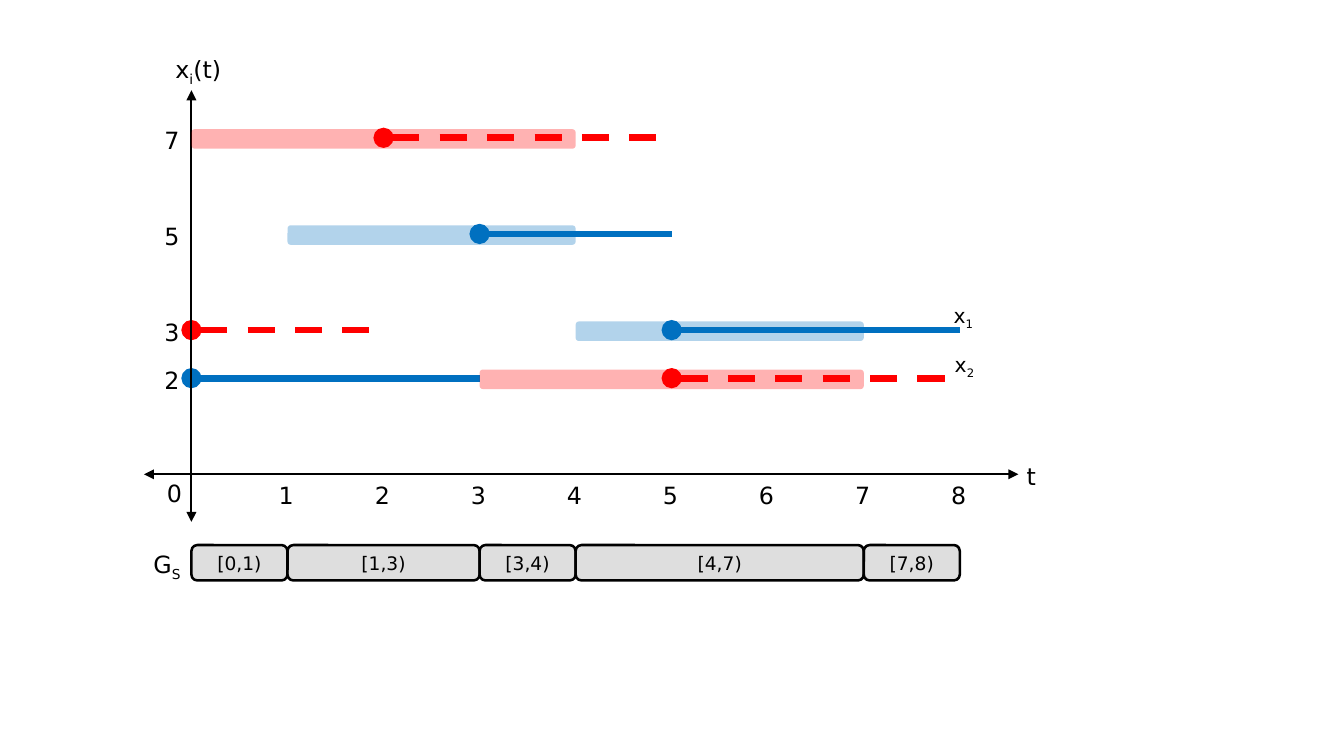
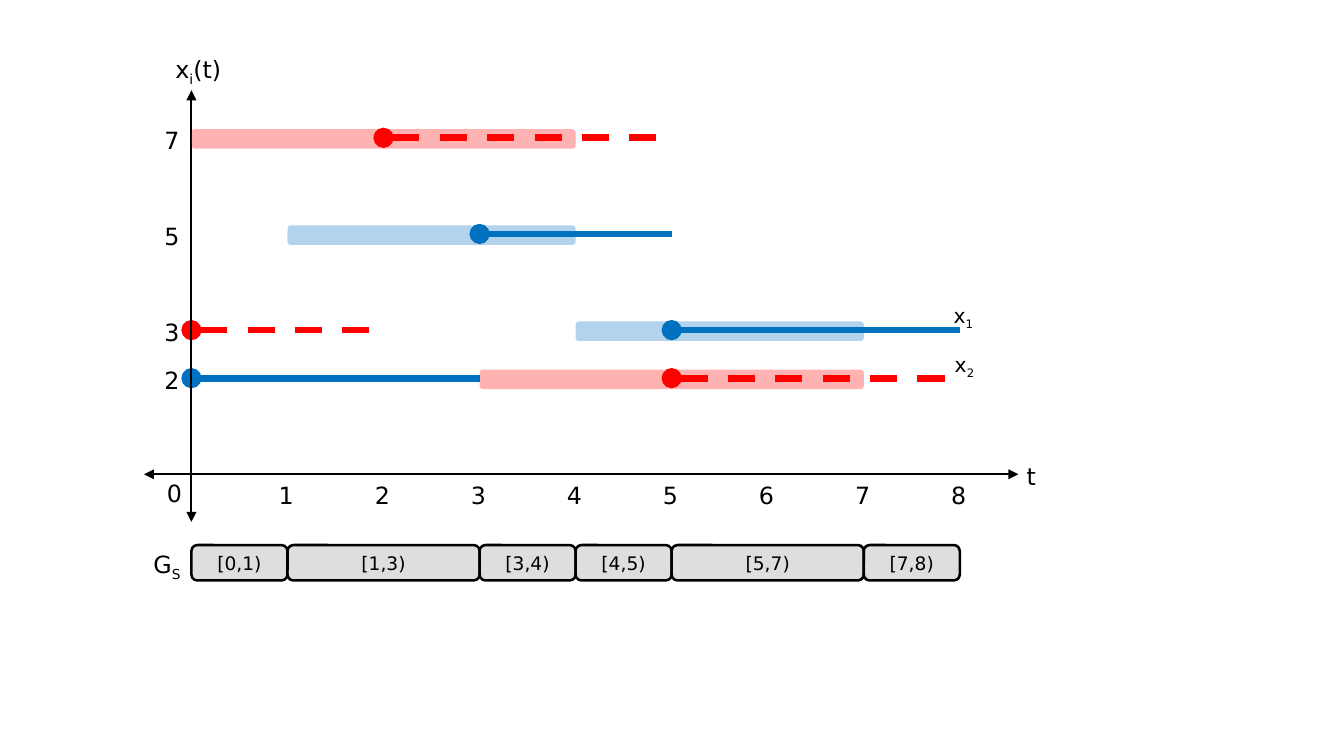
from dataclasses import dataclass
from itertools import pairwise

from lxml.etree import SubElement
from pptx import Presentation
from pptx.dml.color import RGBColor
from pptx.enum.dml import MSO_LINE
from pptx.enum.shapes import MSO_CONNECTOR, MSO_SHAPE
from pptx.enum.text import MSO_ANCHOR, PP_ALIGN
from pptx.oxml.ns import qn
from pptx.util import Inches, Pt


@dataclass(frozen=True)
class Theme:
    font: str = "DejaVu Sans"
    black: str = "000000"
    blue: str = "0070C0"
    red: str = "FF0000"
    gray: str = "BFBFBF"
    label: int = 14
    name: int = 12
    small: int = 11
    thick: float = 4
    thin: float = 1.25
    edge: float = 1.5


THEME = Theme()

# Plot scale: origin and size of one unit, in inches
LEFT, BASE = 1.57, 3.89
UNIT_X, UNIT_Y = 6.3 / 8, 2.76 / 7

# Signal pieces: start, end, value
BLUE = [(0, 3, 2), (3, 5, 5), (5, 8, 3)]
RED = [(0, 2, 3), (2, 5, 7), (5, 8, 2)]
# Shaded spans: start, end, value, colour
SPANS = [(0, 4, 7, THEME.red), (3, 7, 2, THEME.red),
         (1, 4, 5, THEME.blue), (4, 7, 3, THEME.blue)]
# Interval limits of the bottom row, one list for each slide
CUTS = [[0, 1, 3, 4, 7, 8], [0, 1, 3, 4, 5, 7, 8]]


def pos_x(time):
    return LEFT + time * UNIT_X


def pos_y(value):
    return BASE - value * UNIT_Y


def style(run, size):
    run.font.name = THEME.font
    run.font.size = Pt(size)
    run.font.color.rgb = RGBColor.from_string(THEME.black)


def add_line(slide, start, end, color, width, head, tail=None, dash=False):
    line = slide.shapes.add_connector(
        MSO_CONNECTOR.STRAIGHT, *map(Inches, (*start, *end)))
    line.line.color.rgb = RGBColor.from_string(color)
    line.line.width = Pt(width)
    if dash:
        line.line.dash_style = MSO_LINE.DASH
    props = line._element.spPr
    edge = props.find(qn("a:ln"))
    for tag, kind in (("a:headEnd", head), ("a:tailEnd", tail)):
        if kind:
            SubElement(edge, qn(tag), type=kind)
    SubElement(props, qn("a:effectLst"))


def add_text(slide, left, top, parts, width=0.34, size=THEME.label):
    """Write the parts in one line; every second part is a subscript."""
    box = slide.shapes.add_textbox(*map(Inches, (left, top, width, 0.3)))
    box.text_frame.word_wrap = True
    para = box.text_frame.paragraphs[0]
    for num, part in enumerate(parts):
        run = para.add_run()
        run.text = part
        style(run, size)
        if num % 2:
            run._r.get_or_add_rPr().set("baseline", "-25000")


def add_bar(slide, start, end, top, height, color, alpha):
    left = pos_x(start)
    bar = slide.shapes.add_shape(
        MSO_SHAPE.ROUNDED_RECTANGLE,
        *map(Inches, (left, top, pos_x(end) - left, height)))
    bar.shadow.inherit = False
    bar.fill.solid()
    bar.fill.fore_color.rgb = RGBColor.from_string(color)
    tint = bar._element.spPr.find(f".//{qn('a:srgbClr')}")
    SubElement(tint, qn("a:alpha"), val=str(alpha * 1000))
    bar.line.fill.background()
    return bar


def add_cell(slide, start, end):
    cell = add_bar(slide, start, end, 4.47, 0.29, THEME.gray, 50)
    cell.line.color.rgb = RGBColor.from_string(THEME.black)
    cell.line.width = Pt(THEME.edge)
    frame = cell.text_frame
    frame.text = f"[{start},{end})"
    frame.vertical_anchor = MSO_ANCHOR.MIDDLE
    frame.paragraphs[0].alignment = PP_ALIGN.CENTER
    style(frame.paragraphs[0].runs[0], THEME.small)


def add_plot(slide):
    # Signals
    for pieces, color, dash in ((BLUE, THEME.blue, False),
                                (RED, THEME.red, True)):
        for start, end, value in pieces:
            row = pos_y(value)
            add_line(slide, (pos_x(start), row), (pos_x(end), row),
                     color, THEME.thick, "oval", dash=dash)
    # Axes
    for start, end in (((LEFT, 0.74), (LEFT, 4.28)),
                       ((8.35, BASE), (1.18, BASE))):
        add_line(slide, start, end, THEME.black, THEME.thin,
                 "triangle", "triangle")
    # Scale numbers
    for value in (7, 5, 3, 2):
        add_text(slide, 1.25, pos_y(value) - 0.15, [str(value)])
    for time in range(1, 9):
        add_text(slide, pos_x(time) - 0.17, BASE, [str(time)])
    add_text(slide, 1.27, 3.88, ["0"])
    # Names
    add_text(slide, 8.32, 3.74, ["t"], 0.24)
    add_text(slide, 1.34, 0.4, ["x", "i", "(t)"], 0.63)
    add_text(slide, 7.72, 2.44, ["x", "1"], 0.42, THEME.name)
    add_text(slide, 7.73, 2.84, ["x", "2"], 0.39, THEME.name)
    # Shaded spans
    for start, end, value, color in SPANS:
        add_bar(slide, start, end, pos_y(value) - 0.07, 0.16, color, 30)


def add_row(slide, cuts):
    for start, end in pairwise(cuts):
        add_cell(slide, start, end)
    add_text(slide, 1.16, 4.46, ["G", "S"], 0.52)


def main():
    deck = Presentation()
    deck.slide_width, deck.slide_height = Inches(11.02), Inches(6.2)
    for cuts in CUTS:
        slide = deck.slides.add_slide(deck.slide_layouts[6])
        add_plot(slide)
        add_row(slide, cuts)
    deck.save("out.pptx")


if __name__ == "__main__":
    main()
